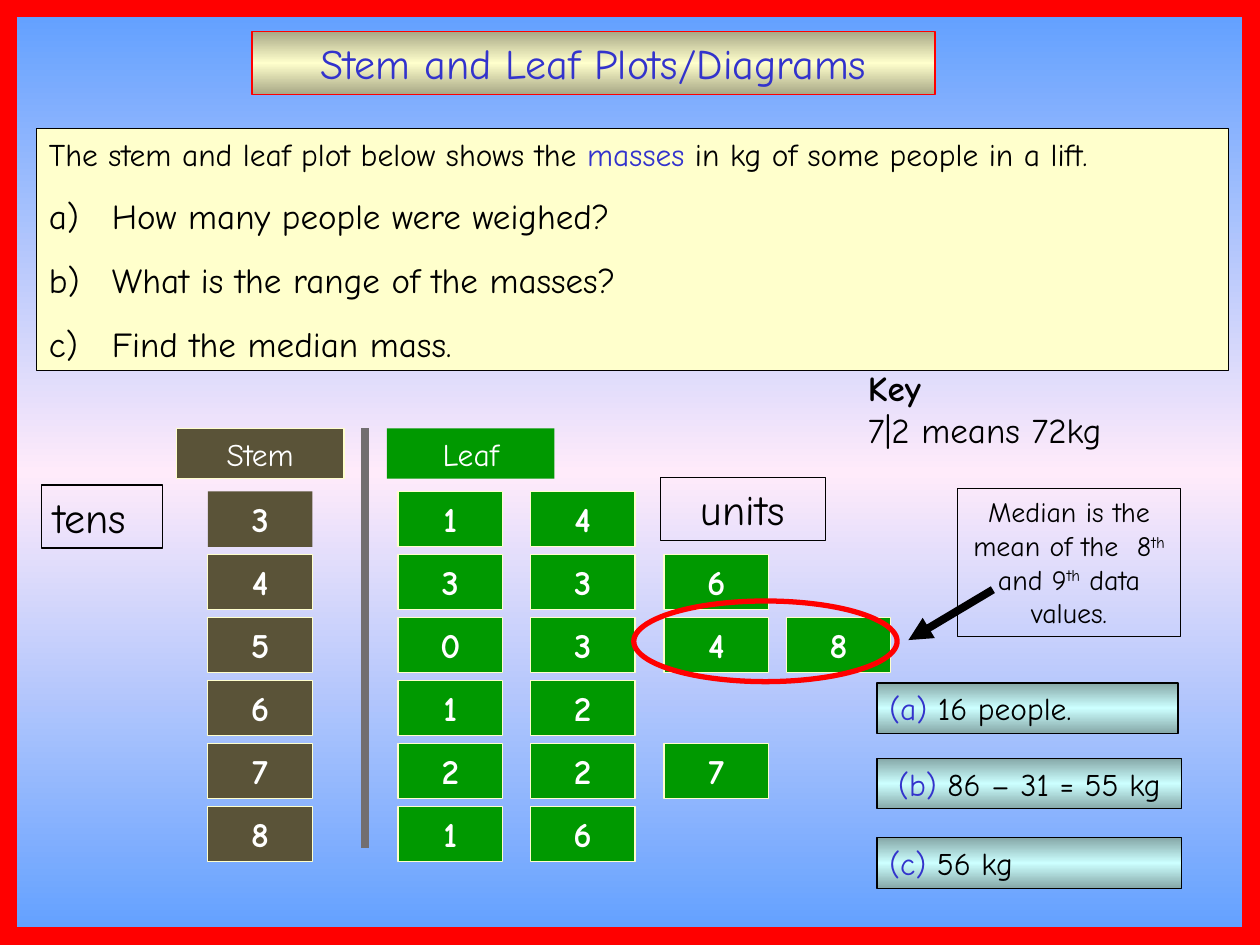
from copy import deepcopy
from pptx import Presentation
from pptx.dml.color import RGBColor
from pptx.enum.shapes import MSO_CONNECTOR, MSO_SHAPE
from pptx.enum.text import MSO_ANCHOR, MSO_AUTO_SIZE, PP_ALIGN
from pptx.oxml.ns import qn
from pptx.util import Inches, Pt
from lxml.etree import SubElement

FONT = "Comic Neue"
BLACK, WHITE = RGBColor(0, 0, 0), RGBColor(255, 255, 255)
RED, BLUE = RGBColor(255, 0, 0), RGBColor(0x33, 0x33, 0xCC)
CREAM, GREEN = RGBColor(0xFF, 0xFF, 0xCC), RGBColor(0, 0x99, 0)
BROWN, GREY = RGBColor(0x5A, 0x53, 0x38), RGBColor(0x72, 0x6E, 0x70)
SKY = RGBColor(0x5E, 0x9E, 0xFF), RGBColor(0xFF, 0xEB, 0xFA)
GOLD = RGBColor(0xA8, 0xA8, 0x86), CREAM
TEAL = RGBColor(0x86, 0xA8, 0xA8), RGBColor(0xCC, 0xFF, 0xFF)
LEFT, CENTER = PP_ALIGN.LEFT, PP_ALIGN.CENTER

# Content
TITLE = "Stem and Leaf Plots/Diagrams"
INTRO = [("The stem and leaf plot below shows the ", BLACK), ("masses", BLUE),
         (" in kg of some people in a lift.", BLACK)]
QUESTIONS = ["How many people were weighed?", "What is the range of the masses?",
             "Find the median mass."]
PLOT = {"3": "14", "4": "336", "5": "0348", "6": "12", "7": "227", "8": "16"}
ANSWERS = [("(a)", " 16 people.", 5.42, 2.39, LEFT),
           ("(b)", " 86 – 31 = 55 kg", 6.02, 2.42, CENTER),
           ("(c)", " 56 kg", 6.65, 2.42, LEFT)]
MEDIAN_NOTE = [("Median is the mean of the  8", False), ("th", True),
               (" and 9", False), ("th", True), (" data values.", False)]

# Plot grid, in inches
STEM_LEFT, LEAF_LEFTS = 1.65, (3.16, 4.21, 5.27, 6.24)
ROW_TOP, ROW_STEP = 3.9, 0.5
CELL = 0.83, 0.44
HEADER_TOP, HEADER = 3.4, (1.33, 0.4)

presentation = Presentation()
presentation.slide_width, presentation.slide_height = Inches(10), Inches(7.5)
slide = presentation.slides.add_slide(presentation.slide_layouts[6])


def set_gradient(fill, edge, middle):
    """Vertical gradient: edge colour, middle colour, edge colour."""
    fill.gradient()
    fill.gradient_angle = 90
    stop_list = fill._xPr.find(qn("a:gradFill")).find(qn("a:gsLst"))
    stop_list.append(deepcopy(stop_list[0]))
    for stop, position, color in zip(fill.gradient_stops, (0, 0.5, 1), (edge, middle, edge)):
        stop.position = position
        stop.color.rgb = color


def add_run(paragraph, text, size, color=BLACK, bold=False, raised=False):
    run = paragraph.add_run()
    run.text = text
    font = run.font
    font.name, font.size, font.bold = FONT, Pt(size), bold
    font.color.rgb = color
    if raised:
        font._element.set("baseline", "30000")


def add_box(left, top, width, height, fill=None, line=BLACK, weight=0.75,
            align=CENTER, kind=MSO_SHAPE.RECTANGLE):
    """Add a shape and return its first paragraph."""
    shape = slide.shapes.add_shape(kind, *map(Inches, (left, top, width, height)))
    shape.shadow.inherit = False
    if fill is None:
        shape.fill.background()
    elif isinstance(fill, RGBColor):
        shape.fill.solid()
        shape.fill.fore_color.rgb = fill
    else:
        set_gradient(shape.fill, *fill)
    if line is None:
        shape.line.fill.background()
    else:
        shape.line.color.rgb = line
        shape.line.width = Pt(weight)
    frame = shape.text_frame
    frame.word_wrap = True
    frame.vertical_anchor = MSO_ANCHOR.TOP
    frame.paragraphs[0].alignment = align
    return frame.paragraphs[0]


def add_line(start, end, color, arrow=False):
    line = slide.shapes.add_connector(MSO_CONNECTOR.STRAIGHT, *map(Inches, start + end))
    line.line.color.rgb = color
    line.line.width = Pt(4.5)
    if arrow:
        SubElement(line.line._get_or_add_ln(), qn("a:tailEnd"), type="triangle")
    SubElement(line._element.spPr, qn("a:effectLst"))


def indent(paragraph):
    properties = paragraph._p.get_or_add_pPr()
    properties.set("marL", str(Inches(0.5)))
    properties.set("indent", str(Inches(-0.5)))
    return properties


# Background and title
set_gradient(slide.background.fill, *SKY)
add_run(add_box(2, 0.25, 5.42, 0.5, GOLD, RED), TITLE, 24, BLUE)

# Questions
paragraph = add_box(0.29, 1.02, 9.46, 1.92, CREAM, align=LEFT)
questions_frame = paragraph._parent
indent(paragraph)
for text, color in INTRO:
    add_run(paragraph, text, 18, color)
for question in QUESTIONS:
    paragraph = questions_frame.add_paragraph()
    paragraph.alignment = LEFT
    paragraph.space_before = Pt(12.5)
    SubElement(indent(paragraph), qn("a:buAutoNum"), type="alphaLcParenR")
    add_run(paragraph, question, 20)

# Stem and leaf plot
add_line((2.9, HEADER_TOP), (2.9, 6.73), GREY)
for text, left, fill, line in [("Stem", 1.4, BROWN, CREAM), ("Leaf", 3.07, GREEN, None)]:
    add_run(add_box(left, HEADER_TOP, *HEADER, fill, line), text, 18, WHITE)
for row, (stem, leaves) in enumerate(PLOT.items()):
    top = ROW_TOP + row * ROW_STEP
    stem_line = CREAM if row else None
    add_run(add_box(STEM_LEFT, top, *CELL, BROWN, stem_line), stem, 20, WHITE, True)
    for left, leaf in zip(LEAF_LEFTS, leaves):
        add_run(add_box(left, top, *CELL, GREEN, CREAM), leaf, 20, WHITE, True)

# Place value labels
add_run(add_box(0.33, 3.85, 0.96, 0.5, align=LEFT), "tens", 24)
add_run(add_box(5.24, 3.79, 1.31, 0.5), "units", 24)

# Answers
for letter, answer, top, width, align in ANSWERS:
    paragraph = add_box(6.96, top, width, 0.4, TEAL, align=align)
    add_run(paragraph, letter, 18, BLUE)
    add_run(paragraph, answer, 18)

# Median note with its ring and arrow
add_box(5.03, 4.77, 2.09, 0.64, line=RED, weight=3, kind=MSO_SHAPE.OVAL)
add_line((7.88, 4.68), (7.21, 5.08), BLACK, arrow=True)
paragraph = add_box(7.6, 3.88, 1.77, 1.17)
for text, raised in MEDIAN_NOTE:
    add_run(paragraph, text, 16, raised=raised)

# Slide border
add_box(0, 0, 10, 7.5, line=RED, weight=20)

# Key
key_frame = slide.shapes.add_textbox(*map(Inches, (6.79, 2.86, 2.31, 0.77))).text_frame
key_frame.word_wrap = True
key_frame.auto_size = MSO_AUTO_SIZE.SHAPE_TO_FIT_TEXT
add_run(key_frame.paragraphs[0], "Key", 20, bold=True)
add_run(key_frame.add_paragraph(), "7|2 means 72kg", 20)

presentation.save("out.pptx")
